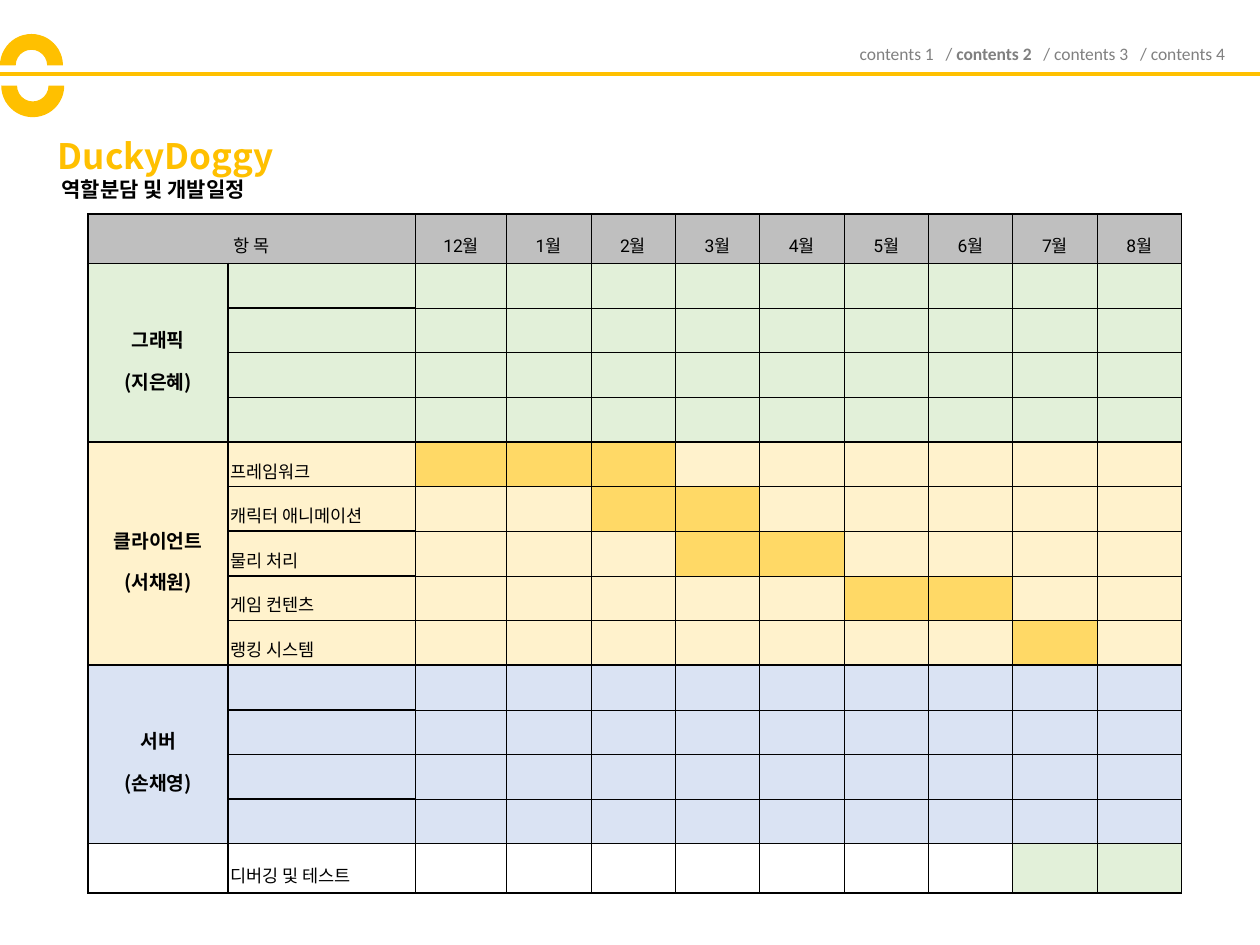
from lxml.etree import SubElement
from pptx import Presentation
from pptx.dml.color import RGBColor
from pptx.enum.shapes import MSO_CONNECTOR, MSO_SHAPE
from pptx.enum.text import MSO_ANCHOR, PP_ALIGN
from pptx.oxml.ns import qn
from pptx.util import Inches, Pt

COLORS = {"gold": "FFC000", "gray": "808080", "black": "000000", "header": "BFBFBF",
          "green": "E2F0D9", "cream": "FFF2CC", "amber": "FFD966", "blue": "DAE3F3"}
LATIN, DIGITS, KOREAN = "Calibri", "Roboto", "Noto Sans CJK KR"

NAV = [("contents 1   / ", False), ("contents 2", True), ("   / contents 3   / contents 4", False)]
TITLE = "DuckyDoggy"
SUBTITLE = "역할분담 및 개발일정"
HEADING = "항 목"
MONTHS = [12, 1, 2, 3, 4, 5, 6, 7, 8]
# name, base colour, bar colour, tasks as (label, active months)
SECTIONS = [
    ("그래픽\n(지은혜)", "green", None, [("", [])] * 4),
    ("클라이언트\n(서채원)", "cream", "amber", [
        ("프레임워크", [12, 1, 2]),
        ("캐릭터 애니메이션", [2, 3]),
        ("물리 처리", [3, 4]),
        ("게임 컨텐츠", [5, 6]),
        ("랭킹 시스템", [7])]),
    ("서버\n(손채영)", "blue", None, [("", [])] * 4),
    ("", None, "green", [("디버깅 및 테스트", [7, 8])]),
]
COL_WIDTHS = [1.11, 1.49, 0.72] + [0.67] * 8
TABLE_HEIGHT, END_ROW = 5.39, 0.39


def rgb(name):
    return RGBColor.from_string(COLORS[name])


def style(r, size, color="black", font=KOREAN, bold=False):
    r.font.size, r.font.bold, r.font.name = Pt(size), bold, font
    r.font.color.rgb = rgb(color)
    SubElement(r._r.get_or_add_rPr(), qn("a:ea")).set("typeface", KOREAN)


def add_runs(p, parts, size, color="black"):
    for text, font, bold in parts:
        r = p.add_run()
        r.text = text
        style(r, size, color, font, bold)


def add_label(s, box, parts, size, color, align=PP_ALIGN.LEFT, anchor=MSO_ANCHOR.TOP):
    tf = s.shapes.add_textbox(*map(Inches, box)).text_frame
    tf.word_wrap, tf.vertical_anchor = True, anchor
    p = tf.paragraphs[0]
    p.alignment = align
    add_runs(p, parts, size, color)
    return p


def write_cell(cell, text, size=10, align=PP_ALIGN.CENTER, bold=False):
    cell.text_frame.text = text
    for p in cell.text_frame.paragraphs:
        p.alignment, p.line_spacing = align, 1.5
        for r in p.runs:
            style(r, size, bold=bold)


def format_cell(cell, color, widths):
    cell.vertical_anchor = MSO_ANCHOR.MIDDLE
    cell.margin_left = cell.margin_right = cell.margin_top = cell.margin_bottom = Inches(0.02)
    for side, width in zip("LRTB", widths):
        ln = SubElement(cell._tc.get_or_add_tcPr(), qn("a:ln" + side), w=str(Pt(width)))
        fill = SubElement(ln, qn("a:solidFill"))
        SubElement(fill, qn("a:srgbClr"), val=COLORS["black"])
    if color:
        cell.fill.solid()
        cell.fill.fore_color.rgb = rgb(color)
    else:
        cell.fill.background()


def add_schedule(s):
    n_rows = 1 + sum(len(tasks) for *_, tasks in SECTIONS)
    n_cols = len(COL_WIDTHS)
    table = s.shapes.add_table(n_rows, n_cols, Inches(0.7), Inches(1.7),
                               Inches(sum(COL_WIDTHS)), Inches(TABLE_HEIGHT)).table
    table.first_row = table.horz_banding = False
    for col, width in zip(table.columns, COL_WIDTHS):
        col.width = Inches(width)
    task_height = (TABLE_HEIGHT - 2 * END_ROW) / (n_rows - 2)
    for i, row in enumerate(table.rows):
        row.height = Inches(END_ROW if i in (0, n_rows - 1) else task_height)

    colors = [["header"] * n_cols]
    edges = {0, 1}
    table.cell(0, 0).merge(table.cell(0, 1))
    write_cell(table.cell(0, 0), HEADING)
    for j, month in enumerate(MONTHS, 2):
        p = table.cell(0, j).text_frame.paragraphs[0]
        p.alignment, p.line_spacing = PP_ALIGN.CENTER, 1.5
        add_runs(p, [(str(month), DIGITS, False), ("월", KOREAN, False)], 10)

    for name, base, bar, tasks in SECTIONS:
        top = len(colors)
        if len(tasks) > 1:
            table.cell(top, 0).merge(table.cell(top + len(tasks) - 1, 0))
        if name:
            write_cell(table.cell(top, 0), name, 11, bold=True)
        for i, (label, active) in enumerate(tasks, top):
            if label:
                write_cell(table.cell(i, 1), label, align=PP_ALIGN.JUSTIFY)
            colors.append([base] * 2 + [bar if m in active else base for m in MONTHS])
        edges.add(len(colors))

    for i, row in enumerate(colors):
        for j, color in enumerate(row):
            thick = (j <= 2, j < 2 or j == n_cols - 1, j < 2 or i in edges, j < 2 or i + 1 in edges)
            format_cell(table.cell(i, j), color, [1 if t else 0.28 for t in thick])


def add_header(s):
    line = s.shapes.add_connector(MSO_CONNECTOR.STRAIGHT, 0, Inches(0.59), Inches(10), Inches(0.59))
    line.line.color.rgb, line.line.width = rgb("gold"), Pt(2.25)
    SubElement(line._element.spPr, qn("a:effectLst"))
    add_label(s, (6.13, 0.29, 3.69, 0.27), [(t, LATIN, b) for t, b in NAV], 10, "gray", PP_ALIGN.RIGHT)
    p = add_label(s, (0.36, 1.11, 3.85, 0.29), [(TITLE, KOREAN, True)], 20, "gold",
                  anchor=MSO_ANCHOR.MIDDLE)
    p.line_spacing = 0.9
    add_label(s, (0.39, 1.35, 2.85, 0.3), [(SUBTITLE, LATIN, True)], 12, "black")
    for left, top, turn in [(0, 0.27, 0), (0.01, 0.43, 180)]:
        arc = s.shapes.add_shape(MSO_SHAPE.BLOCK_ARC, Inches(left), Inches(top), Inches(0.5), Inches(0.5))
        arc.rotation = turn
        arc.shadow.inherit = False
        arc.fill.solid()
        arc.fill.fore_color.rgb = rgb("gold")
        arc.line.fill.background()


def main():
    prs = Presentation()
    prs.slide_width, prs.slide_height = Inches(10), Inches(7.5)
    s = prs.slides.add_slide(prs.slide_layouts[6])
    add_header(s)
    add_schedule(s)
    prs.save("out.pptx")


if __name__ == "__main__":
    main()
